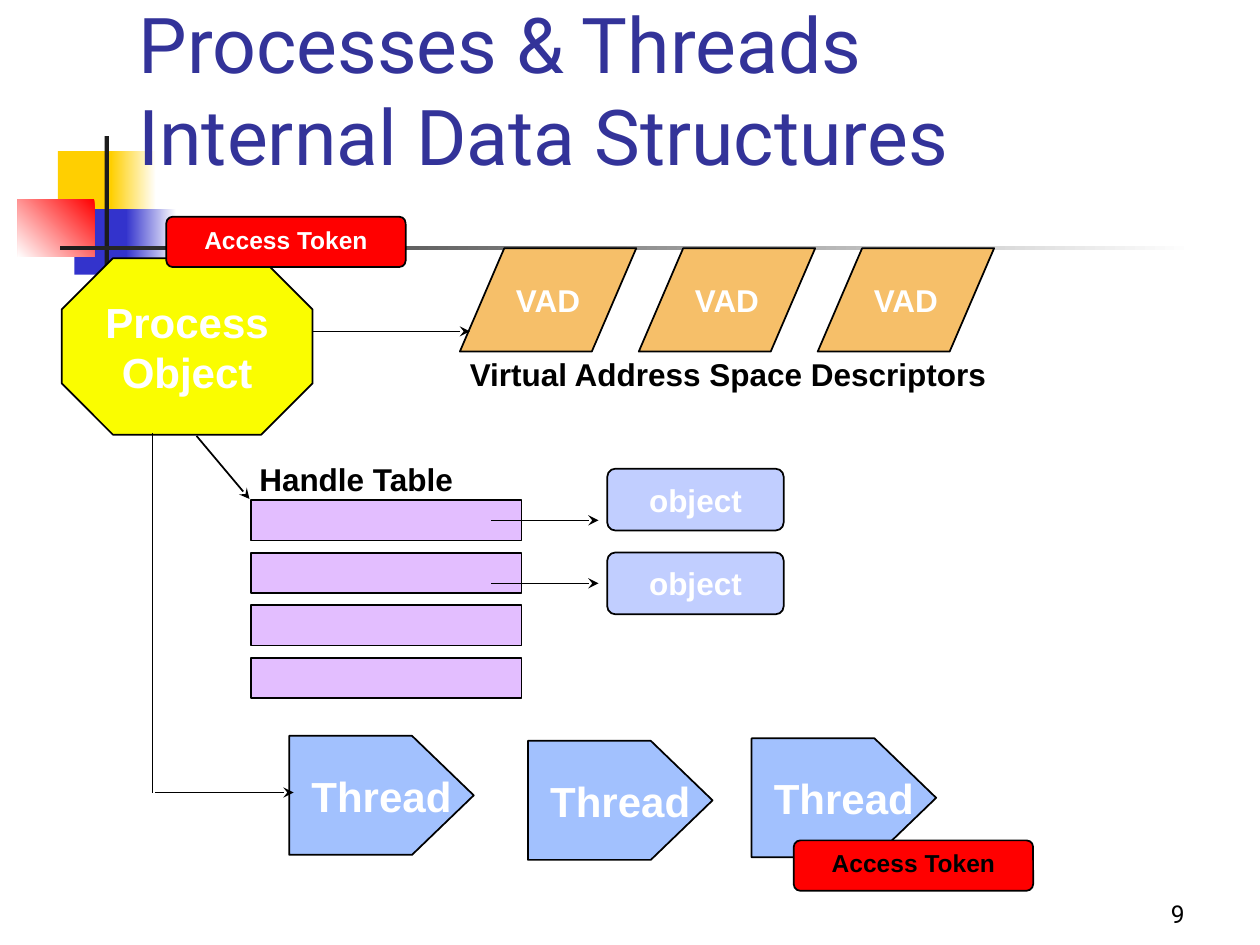
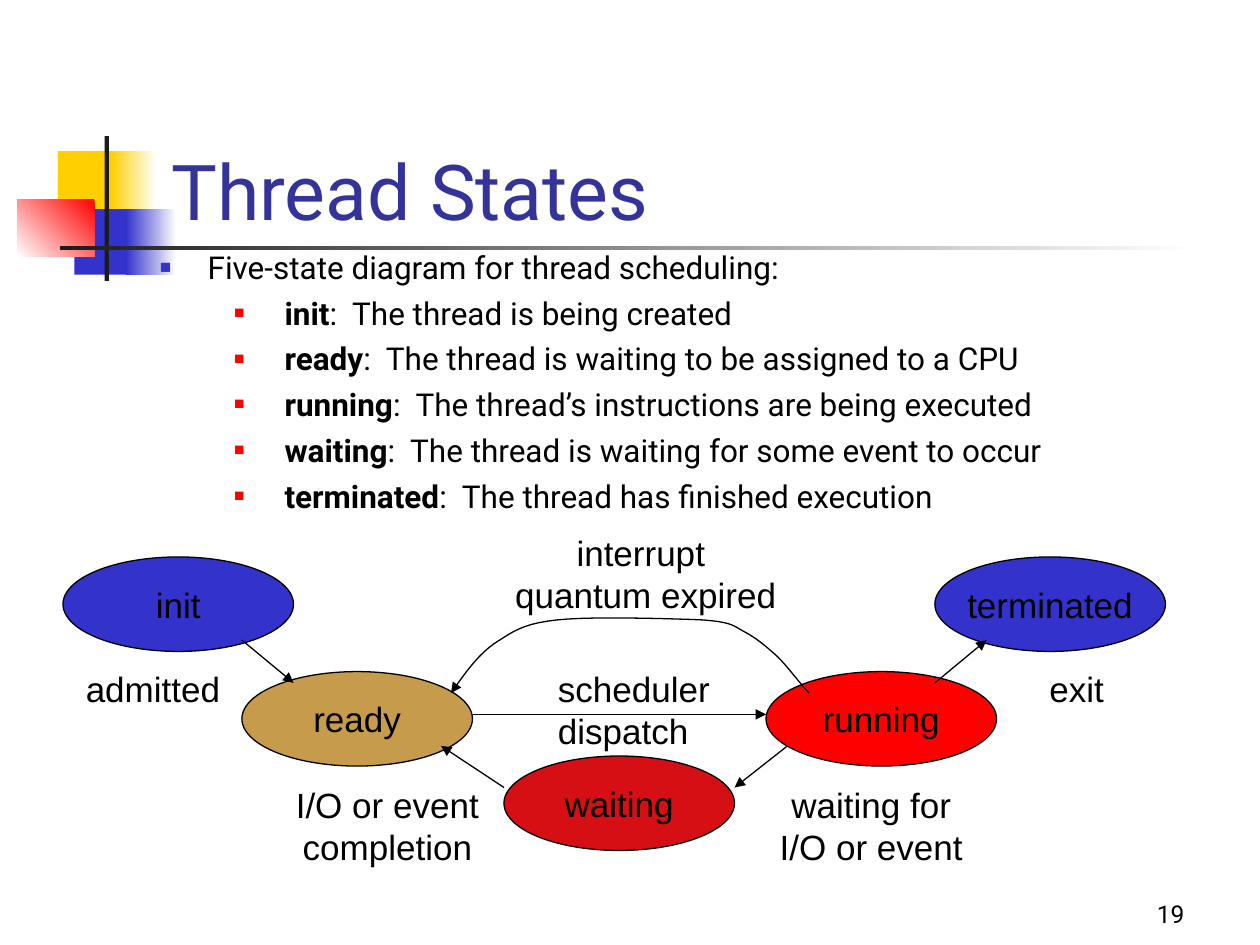
from dataclasses import dataclass
from typing import NamedTuple

from lxml import etree
from pptx import Presentation
from pptx.dml.color import RGBColor
from pptx.enum.shapes import MSO_CONNECTOR, MSO_SHAPE
from pptx.enum.text import MSO_ANCHOR, MSO_AUTO_SIZE, PP_ALIGN
from pptx.oxml.ns import qn
from pptx.util import Inches, Pt

RECT = MSO_SHAPE.RECTANGLE
ROUNDED = MSO_SHAPE.ROUNDED_RECTANGLE
OCTAGON = MSO_SHAPE.OCTAGON
SLANTED = MSO_SHAPE.PARALLELOGRAM
ELLIPSE = MSO_SHAPE.OVAL
STRAIGHT = MSO_CONNECTOR.STRAIGHT
LEFT, CENTER, RIGHT = PP_ALIGN.LEFT, PP_ALIGN.CENTER, PP_ALIGN.RIGHT
TOP, MIDDLE, BOTTOM = MSO_ANCHOR.TOP, MSO_ANCHOR.MIDDLE, MSO_ANCHOR.BOTTOM
NO_AUTOFIT = MSO_AUTO_SIZE.NONE

SLIDE_WIDTH, SLIDE_HEIGHT = Inches(10), Inches(7.5)
COLUMN, ROW = SLIDE_WIDTH // 100, SLIDE_HEIGHT // 75
TITLE_FONT, DIAGRAM_FONT = "Roboto", "Arial"
TITLE_ONLY = 5
CURVE_STEPS = 10

COLORS = {
    "white": "FFFFFF", "black": "000000", "charcoal": "1C1C1C",
    "title": "333399", "gold": "FFCF01", "blue": "3333CC", "red": "FF0000",
    "process": "FAFD00", "handle": "E3BEFF", "vad": "F6BF69",
    "object": "C1CEFF", "thread": "A2C1FE", "ready": "C79B4C",
    "waiting": "D50F14",
}


class Point(NamedTuple):
    column: float
    row: float

    def emu(self) -> tuple[int, int]:
        return round(self.column * COLUMN), round(self.row * ROW)


class Box(NamedTuple):
    left: float
    top: float
    width: float
    height: float

    def emu(self) -> tuple[int, int, int, int]:
        return (*Point(self.left, self.top).emu(), *Point(self.width, self.height).emu())


@dataclass(frozen=True)
class TextStyle:
    size: float
    color: str = "black"
    bold: bool = False
    align: PP_ALIGN = CENTER
    anchor: MSO_ANCHOR = MIDDLE
    font: str = DIAGRAM_FONT
    wrap: bool = False


@dataclass(frozen=True)
class Node:
    kind: MSO_SHAPE
    box: Box
    fill: str
    text: str = ""
    style: TextStyle = TextStyle(18, "white", True)
    adjustment: float | None = None
    outline: float = 1


@dataclass(frozen=True)
class Band:
    box: Box
    start: str
    end: str = ""
    angle: float = 180


@dataclass(frozen=True)
class Arrow:
    start: Point
    end: Point
    head: str = "stealth"
    weight: float = 1


@dataclass(frozen=True)
class Label:
    box: Box
    text: str
    style: TextStyle


BANDS = [
    Band(Box(4.6, 12, 4.8, 5.2), "gold"),
    Band(Box(8.8, 12, 3.6, 5.2), "white", "gold"),
    Band(Box(5.9, 16.6, 4.6, 5.2), "blue"),
    Band(Box(10, 16.6, 4, 5.2), "white", "blue"),
    Band(Box(1.4, 15.8, 6.1, 4.6), "red", "white", 225),
    Band(Box(8.3, 10.8, 0.35, 11.5), "charcoal"),
    Band(Box(4.8, 19.5, 90, 0.35), "white", "charcoal"),
]
PAGE_NUMBER_BOX = Box(74.2, 69.2, 20.8, 5)
PAGE_NUMBER = TextStyle(14, align=RIGHT, anchor=BOTTOM, font=TITLE_FONT, wrap=True)
LARGE = TextStyle(24, "white", True)
HEADING = TextStyle(18, bold=True, align=LEFT, anchor=TOP)
STATE = TextStyle(20)
TRANSITION = TextStyle(20, anchor=TOP)

STATES = [
    ("init", "Thread is being created"),
]
STATES = [
    ("init", "The thread is being created"),
    ("ready", "The thread is waiting to be assigned to a CPU"),
    ("running", "The thread’s instructions are being executed"),
    ("waiting", "The thread is waiting for some event to occur"),
    ("terminated", "The thread has finished execution"),
]
INTERRUPT_CURVE = [Point(*pair) for pair in (
    (64.2, 55), (63.3, 54), (62.5, 52.9), (61.7, 52.1), (60.8, 51.3),
    (60.1, 50.7), (59.2, 50.2), (58.2, 49.7), (58.3, 49.4), (55.8, 49.2),
    (53.3, 49.1), (46.9, 48.9), (44.2, 49.2), (41.4, 49.5), (40.6, 50.2),
    (39.2, 51.1), (37.8, 52.1), (36.8, 53.6), (35.8, 55),
)]


def rgb(color: str) -> RGBColor:
    return RGBColor.from_string(COLORS[color])


def format_font(font, style: TextStyle) -> None:
    font.name, font.size, font.bold = style.font, Pt(style.size), style.bold
    font.color.rgb = rgb(style.color)


def write(frame, text: str, style: TextStyle) -> None:
    frame.text = text
    frame.word_wrap = style.wrap
    frame.auto_size = NO_AUTOFIT
    frame.vertical_anchor = style.anchor
    for paragraph in frame.paragraphs:
        paragraph.alignment = style.align
        for run in paragraph.runs:
            format_font(run.font, style)


def paint(shape, fill: str, outline: float) -> None:
    shape.shadow.inherit = False
    shape.fill.solid()
    shape.fill.fore_color.rgb = rgb(fill)
    shape.line.color.rgb = rgb("black")
    shape.line.width = Pt(outline)


def add_head(shape, head: str) -> None:
    etree.SubElement(shape.line._get_or_add_ln(), qn("a:tailEnd"), type=head)


def draw_band(slide, band: Band):
    shape = slide.shapes.add_shape(RECT, *band.box.emu())
    paint(shape, band.start, 1)
    shape.line.fill.background()
    if band.end:
        shape.fill.gradient()
        shape.fill.gradient_angle = band.angle
        for stop, color in zip(shape.fill.gradient_stops, (band.start, band.end)):
            stop.color.rgb = rgb(color)
    return shape


def draw_node(slide, node: Node) -> None:
    shape = slide.shapes.add_shape(node.kind, *node.box.emu())
    if node.adjustment is not None:
        shape.adjustments[0] = node.adjustment
    paint(shape, node.fill, node.outline)
    if node.text:
        write(shape.text_frame, node.text, node.style)


def draw_label(slide, label: Label) -> None:
    write(slide.shapes.add_textbox(*label.box.emu()).text_frame, label.text, label.style)


def draw_arrow(slide, arrow: Arrow) -> None:
    connector = slide.shapes.add_connector(STRAIGHT, *arrow.start.emu(), *arrow.end.emu())
    connector.line.color.rgb = rgb("black")
    connector.line.width = Pt(arrow.weight)
    if arrow.head:
        add_head(connector, arrow.head)
    etree.SubElement(connector._element.spPr, qn("a:effectLst"))


def draw_outline(slide, points: list[Point], close: bool):
    first, *rest = [point.emu() for point in points]
    builder = slide.shapes.build_freeform(*first)
    builder.add_line_segments(rest, close=close)
    return builder.convert_to_shape()


def draw_thread(slide, left: float, top: float) -> None:
    shoulder, tip, height = left + 9.75, left + 14.65, 9.45
    corners = [(left, top), (shoulder, top), (tip, top + height / 2),
               (shoulder, top + height), (left, top + height)]
    shape = draw_outline(slide, [Point(*corner) for corner in corners], True)
    paint(shape, "thread", 1)
    write(shape.text_frame, "Thread", LARGE)


def bezier(a: Point, b: Point, c: Point, d: Point, t: float) -> Point:
    u = 1 - t
    weights = (u ** 3, 3 * u * u * t, 3 * u * t * t, t ** 3)
    return Point(*(sum(w * v for w, v in zip(weights, axis)) for axis in zip(a, b, c, d)))


def draw_curve(slide, controls: list[Point]) -> None:
    points = controls[:1] + [
        bezier(*controls[i:i + 4], step / CURVE_STEPS)
        for i in range(0, len(controls) - 1, 3)
        for step in range(1, CURVE_STEPS + 1)
    ]
    curve = draw_outline(slide, points, False)
    paint(curve, "white", 0.75)
    curve.fill.background()
    add_head(curve, "triangle")


def set_bullet(paragraph, color: str, percent: int, margin: float, hanging: float) -> None:
    paragraph.space_before = Pt(4.5)
    properties = paragraph._p.get_or_add_pPr()
    properties.set("marL", str(Inches(margin)))
    properties.set("indent", str(-Inches(hanging)))
    bullet_color = etree.SubElement(properties, qn("a:buClr"))
    etree.SubElement(bullet_color, qn("a:srgbClr"), val=COLORS[color])
    etree.SubElement(properties, qn("a:buSzPct"), val=str(percent * 1000))
    etree.SubElement(properties, qn("a:buFont"), typeface=DIAGRAM_FONT)
    etree.SubElement(properties, qn("a:buChar"), char="■")


def draw_definitions(slide) -> None:
    style = TextStyle(18, align=LEFT, anchor=TOP, font=TITLE_FONT, wrap=True)
    frame = slide.shapes.add_textbox(*Box(11.7, 19.2, 85.8, 30).emu()).text_frame
    write(frame, "Five-state diagram for thread scheduling:", style)
    set_bullet(frame.paragraphs[0], "blue", 60, 0.38, 0.38)
    for state, meaning in STATES:
        paragraph = frame.add_paragraph()
        paragraph.level = 1
        set_bullet(paragraph, "red", 55, 0.99, 0.4)
        for text, bold in ((state, True), (f":  {meaning}", False)):
            run = paragraph.add_run()
            run.text = text
            format_font(run.font, style)
            run.font.bold = bold


def add_titled_slide(deck, title: str, box: Box, anchor: MSO_ANCHOR, number: int):
    slide = deck.slides.add_slide(deck.slide_layouts[TITLE_ONLY])
    heading = slide.shapes.title
    heading.left, heading.top, heading.width, heading.height = box.emu()
    write(heading.text_frame, title,
          TextStyle(44, "title", align=LEFT, anchor=anchor, font=TITLE_FONT, wrap=True))
    draw_label(slide, Label(PAGE_NUMBER_BOX, str(number), PAGE_NUMBER))
    return slide


def move_bands_to_layout(slide) -> None:
    layout = slide.slide_layout
    for placeholder in list(layout.placeholders)[1:]:
        placeholder._element.getparent().remove(placeholder._element)
    for band in BANDS:
        layout.shapes._spTree.append(draw_band(slide, band)._element)


def draw_data_structures(slide) -> None:
    token = TextStyle(14, "white", True, anchor=TOP)
    nodes = [Node(OCTAGON, Box(4.9, 20.5, 19.9, 14), "process", "Process\nObject", LARGE, 0.29)]
    nodes += [Node(RECT, Box(19.9, 39.7 + 4.17 * i, 21.5, 3.2), "handle") for i in range(4)]
    nodes += [Node(SLANTED, Box(36.5 + 14.2 * i, 19.7, 14, 8.2), "vad", "VAD", adjustment=0.43)
              for i in range(3)]
    nodes += [Node(ROUNDED, Box(48.2, 37.2 + 6.65 * i, 14, 4.9), "object", "object",
                   adjustment=0.13) for i in range(2)]
    nodes.append(Node(ROUNDED, Box(13.2, 17.2, 19, 4), "red", "Access Token", token, 0.13))
    for node in nodes:
        draw_node(slide, node)
    for left, top in ((22.95, 58.4), (41.9, 58.8), (59.65, 58.6)):
        draw_thread(slide, left, top)
    draw_node(slide, Node(ROUNDED, Box(63, 66.7, 19, 4), "red", "Access Token",
                          TextStyle(14, bold=True, anchor=TOP), 0.13))
    draw_label(slide, Label(Box(19.6, 36, 17.6, 4), "Handle Table", HEADING))
    draw_label(slide, Label(Box(36.3, 27.7, 43.1, 4),
                            "Virtual Address Space Descriptors", HEADING))
    for arrow in (
        Arrow(Point(39, 41.3), Point(47.5, 41.3)),
        Arrow(Point(39, 46.3), Point(47.5, 46.3)),
        Arrow(Point(24.8, 26.3), Point(37.3, 26.3)),
        Arrow(Point(15.6, 34.6), Point(19.8, 39.6)),
        Arrow(Point(12.1, 34.4), Point(12.1, 62.9), head=""),
        Arrow(Point(12.3, 62.9), Point(23.3, 62.9)),
    ):
        draw_arrow(slide, arrow)


def draw_thread_states(slide) -> None:
    draw_definitions(slide)
    for state, left, top, fill in (
        ("init", 5, 44.2, "blue"), ("ready", 19.2, 53.3, "ready"),
        ("waiting", 40, 60, "waiting"), ("running", 60.8, 53.3, "red"),
        ("terminated", 74.2, 44.2, "blue"),
    ):
        draw_node(slide, Node(ELLIPSE, Box(left, top, 18.3, 7.5), fill, state, STATE, outline=0.75))
    for label in (
        Label(Box(43.3, 52.5, 14, 7.7), "scheduler\ndispatch",
              TextStyle(20, align=LEFT, anchor=TOP)),
        Label(Box(60.9, 61.7, 16.5, 7.7), "waiting for\nI/O or event", TRANSITION),
        Label(Box(22.5, 61.7, 16.5, 7.7), "I/O or event\ncompletion", TRANSITION),
        Label(Box(39.9, 41.7, 22.7, 7.7), "interrupt \nquantum expired", TRANSITION),
        Label(Box(5.8, 52.5, 12.7, 4.4), "admitted", TRANSITION),
        Label(Box(82.3, 52.5, 6.3, 4.4), "exit", TRANSITION),
    ):
        draw_label(slide, label)
    draw_curve(slide, INTERRUPT_CURVE)
    for start, end in (
        ((37.5, 56.7), (60.8, 56.7)), ((62.5, 59.2), (58.3, 62.5)),
        ((40, 62.5), (35, 59.2)), ((74.2, 54.2), (78.3, 50.8)),
        ((19.2, 50.8), (23.3, 54.2)),
    ):
        draw_arrow(slide, Arrow(Point(*start), Point(*end), "triangle", 0.75))


def main() -> None:
    deck = Presentation()
    deck.slide_width, deck.slide_height = SLIDE_WIDTH, SLIDE_HEIGHT
    structures = add_titled_slide(deck, "Processes & Threads\vInternal Data Structures",
                                  Box(10, 0.8, 78.3, 12.5), MIDDLE, 9)
    move_bands_to_layout(structures)
    draw_data_structures(structures)
    draw_thread_states(add_titled_slide(deck, "Thread States",
                                        Box(12.6, 6.7, 74.1, 12.5), BOTTOM, 19))
    deck.save("out.pptx")


if __name__ == "__main__":
    main()
